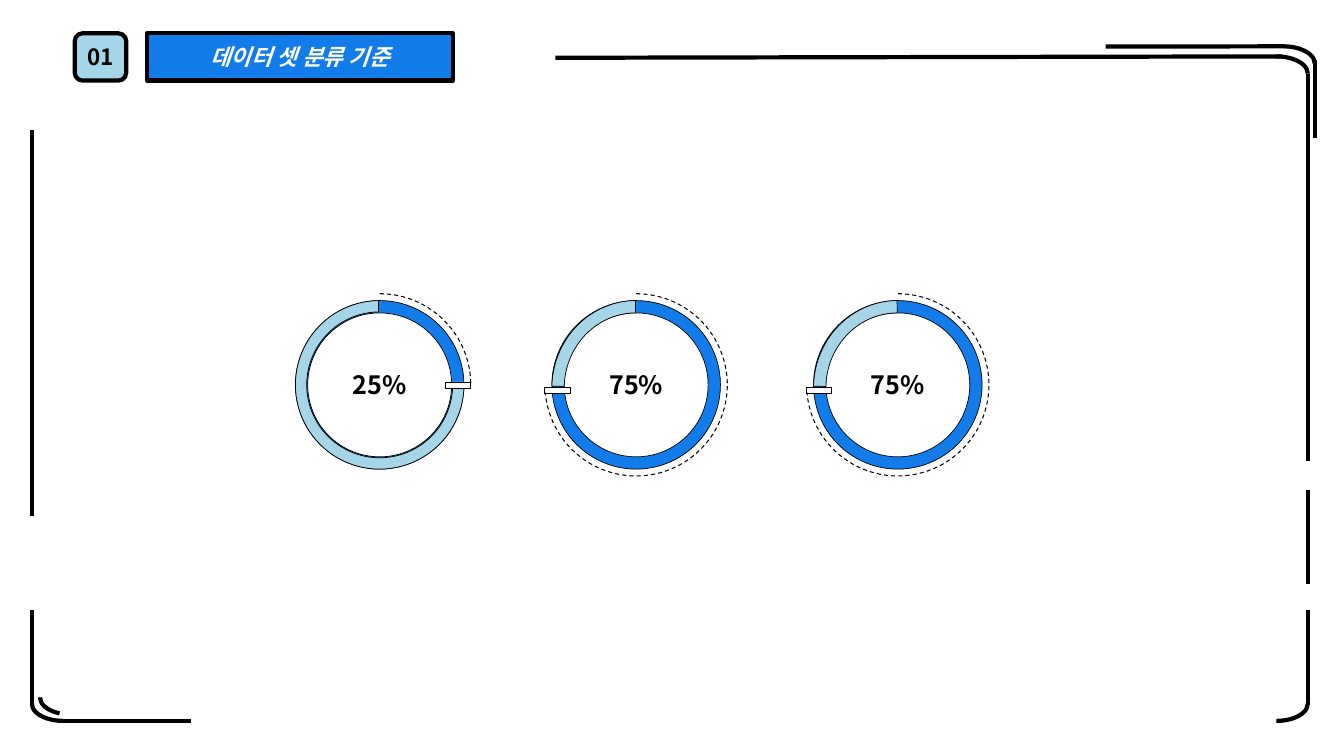
from copy import deepcopy
from dataclasses import dataclass

from lxml import etree
from pptx import Presentation
from pptx.dml.color import RGBColor
from pptx.enum import dml, shapes, text
from pptx.oxml import ns
from pptx.util import Pt

BLACK = RGBColor(0x00, 0x00, 0x00)
WHITE = RGBColor(0xFF, 0xFF, 0xFF)
BLUE = RGBColor(0x12, 0x7C, 0xEA)
PALE = RGBColor(0xA5, 0xD5, 0xE9)
FONT = "Noto Sans CJK KR"
SHAPE = shapes.MSO_SHAPE
FRAME_WIDTH = 3
THIN = 0.5
HEADER_TOP, HEADER_HEIGHT = 23.8, 33.8
CORNER_WIDTH, CORNER_HEIGHT = 44.8, 24.5
RING_TOP, RING_SIZE = 214.7, 120.4
HOLE_INSET, ORBIT_GAP = 8.8, 4.9
MARKER_WIDTH, MARKER_HEIGHT = 18, 4.5


@dataclass(frozen=True)
class Line:
    x1: float
    y1: float
    x2: float
    y2: float


@dataclass(frozen=True)
class Corner:
    left: float
    top: float
    flips: tuple = ()
    start: float = 161.97


@dataclass(frozen=True)
class Gauge:
    label: str
    band: tuple
    band_height: float
    orbit_end: float
    marker_dx: float
    marker_dy: float


LINES = (
    Line(396.7, 41.3, 915.8, 40.3),
    Line(934.4, 329, 934.4, 52.6),
    Line(934.4, 416.9, 934.4, 349.9),
    Line(934.2, 502.6, 934.2, 435.6),
    Line(22.8, 368.6, 22.8, 92.9),
    Line(22.8, 502.6, 22.8, 435.6),
    Line(136.1, 515.2, 44.6, 515.2),
    Line(789.8, 33.3, 917.3, 33.1),
    Line(939.4, 98.6, 939.4, 43.2),
)
CORNERS = (
    Corner(889.4, 40.3),
    Corner(889.4, 490.5, ("flipV",)),
    Corner(22.8, 490.5, ("flipH", "flipV")),
    Corner(28.6, 486, ("flipH", "flipV"), 183.93),
    Corner(894.4, 33.1),
)
QUARTER = Gauge("25%", (215.15, 161.49, 0.067), RING_SIZE, 215.97, 107.1, 58.1)
THREE_QUARTERS = Gauge("75%", (108.85, 161.72, 0.073), 125.3, 105.02, -5.1, 61.9)
GAUGES = ((211, QUARTER), (394.2, THREE_QUARTERS), (581.1, THREE_QUARTERS))


def style(sp, fill: RGBColor | None, width: float) -> None:
    if fill is None:
        sp.fill.background()
    else:
        sp.fill.solid()
        sp.fill.fore_color.rgb = fill
    sp.line.color.rgb = BLACK
    sp.line.width = Pt(width)
    sp.shadow.inherit = False


def add_shape(s, kind, left: float, top: float, width: float, height: float,
              fill: RGBColor | None, line: float, adjust: tuple = ()):
    sp = s.shapes.add_shape(kind, Pt(left), Pt(top), Pt(width), Pt(height))
    for i, value in enumerate(adjust):
        sp.adjustments[i] = value
    style(sp, fill, line)
    return sp


def write(sp, words: str, size: float, color: RGBColor, italic: bool = False) -> None:
    tf = sp.text_frame
    tf.word_wrap = True
    tf.auto_size = text.MSO_AUTO_SIZE.NONE
    tf.vertical_anchor = text.MSO_ANCHOR.MIDDLE
    tf.margin_left = tf.margin_right = tf.margin_top = tf.margin_bottom = 0
    p = tf.paragraphs[0]
    p.alignment = text.PP_ALIGN.CENTER
    r = p.add_run()
    r.text = words
    r.font.name = FONT
    r.font.size = Pt(size)
    r.font.bold = True
    r.font.italic = italic
    r.font.color.rgb = color
    latin = r.font._element.find(ns.qn("a:latin"))
    east_asian = etree.Element(ns.qn("a:ea"), typeface=FONT)
    latin.addnext(east_asian)


def draw_header(s) -> None:
    badge = add_shape(s, SHAPE.ROUNDED_RECTANGLE, 53.4, HEADER_TOP, 36.8,
                      HEADER_HEIGHT, PALE, FRAME_WIDTH)
    write(badge, "01", 16, BLACK)
    title = s.shapes.title
    title.left, title.top = Pt(105.1), Pt(HEADER_TOP)
    title.width, title.height = Pt(218.3), Pt(HEADER_HEIGHT)
    outline = deepcopy(badge.element.spPr.find(ns.qn("a:prstGeom")))
    title.element.spPr.find(ns.qn("a:xfrm")).addnext(outline)
    style(title, BLUE, FRAME_WIDTH)
    write(title, "데이터 셋 분류 기준", 16, WHITE, italic=True)


def draw_line(s, line: Line) -> None:
    cx = s.shapes.add_connector(shapes.MSO_CONNECTOR.STRAIGHT, Pt(line.x1), Pt(line.y1),
                                Pt(line.x2), Pt(line.y2))
    cx.line.color.rgb = BLACK
    cx.line.width = Pt(FRAME_WIDTH)
    etree.SubElement(cx._element.spPr, ns.qn("a:effectLst"))


def draw_corner(s, corner: Corner) -> None:
    sp = add_shape(s, SHAPE.ARC, corner.left, corner.top, CORNER_WIDTH, CORNER_HEIGHT,
                   None, FRAME_WIDTH, (corner.start, 0.11))
    for flip in corner.flips:
        sp.element.spPr.find(ns.qn("a:xfrm")).set(flip, "1")


def draw_gauge(s, left: float, gauge: Gauge) -> None:
    add_shape(s, SHAPE.OVAL, left, RING_TOP, RING_SIZE, RING_SIZE, BLUE, THIN)
    hole_size = RING_SIZE - 2 * HOLE_INSET
    hole = add_shape(s, SHAPE.OVAL, left + HOLE_INSET, RING_TOP + HOLE_INSET,
                     hole_size, hole_size, WHITE, THIN)
    write(hole, gauge.label, 18, BLACK)
    add_shape(s, SHAPE.BLOCK_ARC, left, RING_TOP, RING_SIZE, gauge.band_height,
              PALE, THIN, gauge.band)
    add_shape(s, SHAPE.RECTANGLE, left + gauge.marker_dx, RING_TOP + gauge.marker_dy,
              MARKER_WIDTH, MARKER_HEIGHT, WHITE, THIN)
    orbit_size = RING_SIZE + 2 * ORBIT_GAP
    orbit = add_shape(s, SHAPE.ARC, left - ORBIT_GAP, RING_TOP - ORBIT_GAP,
                      orbit_size, orbit_size, None, 0.75, (162, gauge.orbit_end))
    orbit.line.dash_style = dml.MSO_LINE.DASH


def main() -> None:
    prs = Presentation()
    prs.slide_width, prs.slide_height = Pt(960), Pt(540)
    s = prs.slides.add_slide(prs.slide_layouts[5])
    draw_header(s)
    for line in LINES:
        draw_line(s, line)
    for corner in CORNERS:
        draw_corner(s, corner)
    for left, gauge in GAUGES:
        draw_gauge(s, left, gauge)
    prs.save("out.pptx")


if __name__ == "__main__":
    main()
